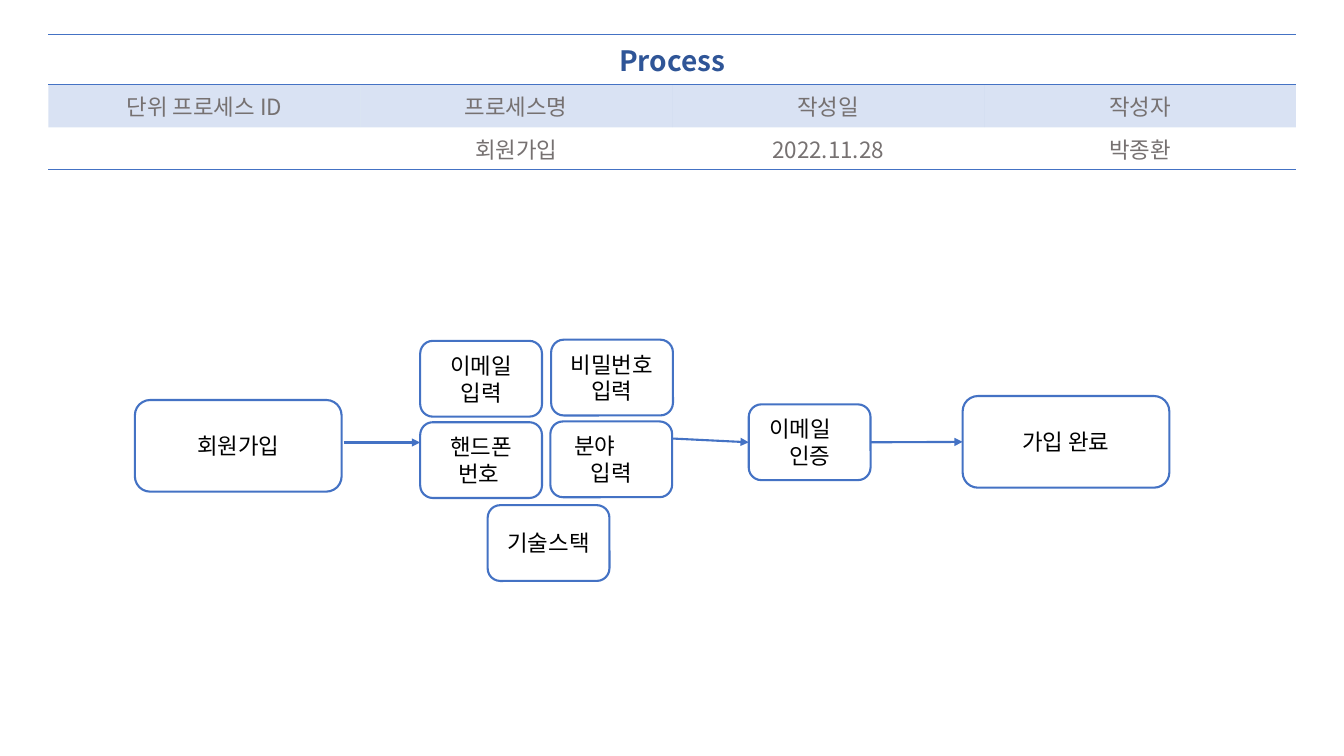
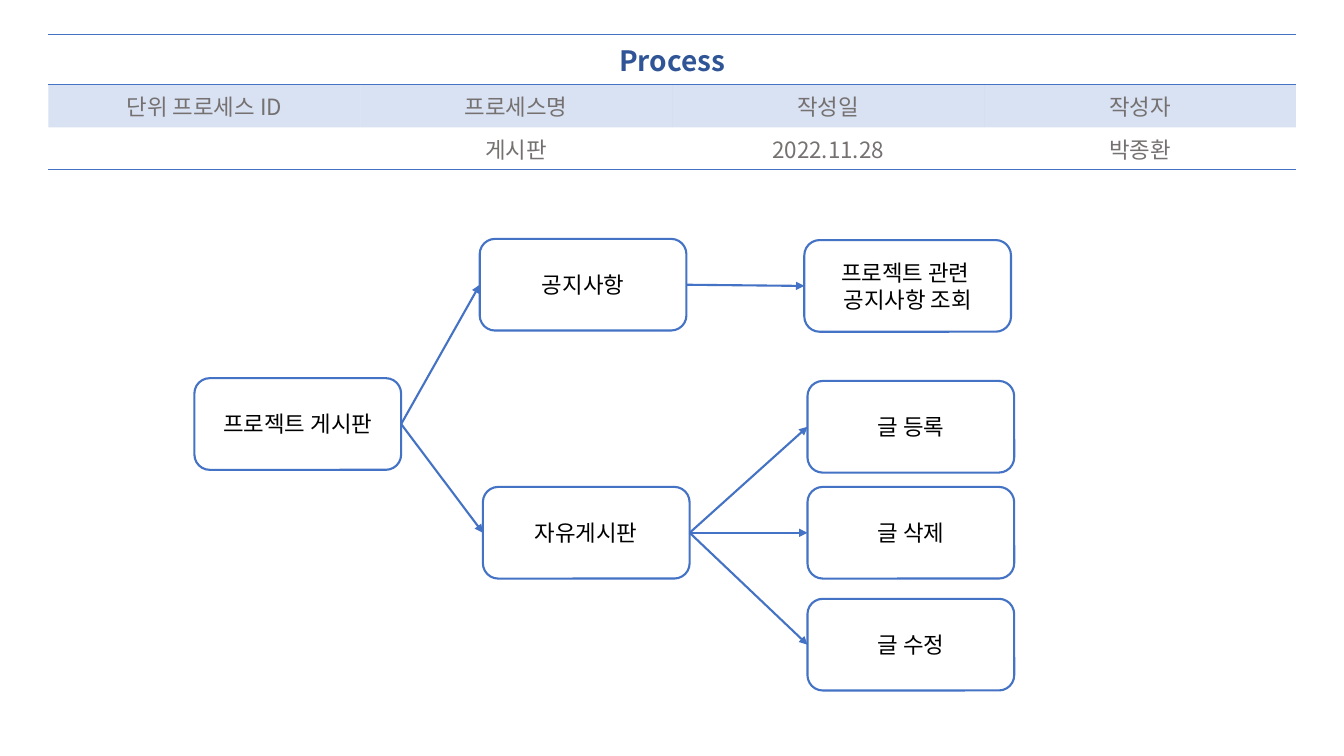
"""Build two process-flow slides that share one header table."""
from lxml.etree import SubElement
from pptx import Presentation
from pptx.dml.color import RGBColor
from pptx.enum.shapes import MSO_CONNECTOR as Connector, MSO_SHAPE as Shape
from pptx.enum.text import MSO_ANCHOR as Anchor, PP_ALIGN as Align
from pptx.oxml import parse_xml
from pptx.oxml.ns import nsdecls, qn
from pptx.util import Cm, Pt

COLORS = {"accent": "4472C4", "title": "2F5597", "muted": "767171",
          "text": "000000", "surface": "FFFFFF"}
FONT = "Noto Sans CJK KR"
FORMATS = {
    "title": {"size": Pt(20), "bold": True, "name": FONT},
    "muted": {"size": Pt(16), "bold": False, "name": FONT},
    "text": {"size": Pt(16), "bold": False, "name": FONT},
}
LARGE, SMALL = (5.21, 2.31), (3.07, 1.91)
NO_TABLE_STYLE = "{2D5ABB26-0587-4C30-8999-92F81FD0307C}"
HEADINGS = ["단위 프로세스 ID", "프로세스명", "작성일", "작성자"]
LEFT, RIGHT = 1, 3


def color(name):
    return RGBColor.from_string(COLORS[name])


class ProcessDeck:
    def __init__(self):
        self.presentation = Presentation()
        self.presentation.slide_width = Cm(33.87)
        self.presentation.slide_height = Cm(19.05)
        self.slide = None

    def add_slide(self, process_name):
        layout = self.presentation.slide_layouts[6]
        self.slide = self.presentation.slides.add_slide(layout)
        self.header(["", process_name, "2022.11.28", "박종환"])

    def put_text(self, paragraph, text, style):
        paragraph.alignment = Align.CENTER
        if not text:
            return
        run = paragraph.add_run()
        run.text = text
        for attribute, value in FORMATS[style].items():
            setattr(run.font, attribute, value)
        run.font.color.rgb = color(style)
        SubElement(run.font._element, qn("a:ea"), typeface=FONT)

    def border(self, cell, side):
        cell._tc.get_or_add_tcPr().insert(0, parse_xml(
            f'<a:{side} {nsdecls("a")} w="{Pt(1)}"><a:solidFill>'
            f'<a:srgbClr val="{COLORS["accent"]}"/></a:solidFill></a:{side}>'))

    def header(self, values):
        frame = self.slide.shapes.add_table(
            3, 4, Cm(1.22), Cm(0.86), Cm(31.44), Cm(3.11))
        table = frame.table
        table.first_row = table.horz_banding = False
        table._tbl.tblPr.find(qn("a:tableStyleId")).text = NO_TABLE_STYLE
        for row, height in zip(table.rows, (1.17, 0.97, 0.97)):
            row.height = Cm(height)
        table.cell(0, 0).merge(table.cell(0, 3))
        rows = [["Process", "", "", ""], HEADINGS, values]
        borders = [("lnB", "lnT"), (), ("lnB",)]
        for row, texts in enumerate(rows):
            for column, text in enumerate(texts):
                cell = table.cell(row, column)
                self.put_text(cell.text_frame.paragraphs[0], text,
                              "muted" if row else "title")
                if row == 1:
                    cell.fill.solid()
                    cell.fill.fore_color.rgb = color("accent")
                    tint = cell._tc.tcPr.find(".//" + qn("a:srgbClr"))
                    SubElement(tint, qn("a:alpha"), val="20000")
                else:
                    cell.fill.background()
                for side in borders[row]:
                    self.border(cell, side)

    def box(self, left, top, *lines, size=LARGE, first_indent=None):
        shape = self.slide.shapes.add_shape(
            Shape.ROUNDED_RECTANGLE, Cm(left), Cm(top), *map(Cm, size))
        shape.shadow.inherit = False
        shape.fill.solid()
        shape.fill.fore_color.rgb = color("surface")
        self.outline(shape.line)
        frame = shape.text_frame
        frame.word_wrap = True
        frame.vertical_anchor = Anchor.MIDDLE
        for index, line in enumerate(lines):
            paragraph = frame.add_paragraph() if index else frame.paragraphs[0]
            self.put_text(paragraph, line, "text")
        if first_indent is not None:
            paragraph = frame.paragraphs[0]
            paragraph.alignment = Align.LEFT
            paragraph._p.get_or_add_pPr().set("marL", str(Cm(first_indent)))
        return shape

    def outline(self, line):
        line.color.rgb = color("accent")
        line.width = Pt(1.5)

    def arrow(self, start, end):
        points = [point if isinstance(point, tuple) else (0, 0)
                  for point in (start, end)]
        connector = self.slide.shapes.add_connector(
            Connector.STRAIGHT, *map(Cm, points[0] + points[1]))
        if not isinstance(start, tuple):
            connector.begin_connect(start, RIGHT)
        if not isinstance(end, tuple):
            connector.end_connect(end, LEFT)
        self.outline(connector.line)
        SubElement(connector.get_or_add_ln(), qn("a:tailEnd"), type="triangle")
        SubElement(connector._element.spPr, qn("a:effectLst"))


def build_signup(deck):
    deck.add_slide("회원가입")
    deck.box(3.4, 10.08, "회원가입")
    deck.box(12.29, 12.73, "기술스택", size=SMALL)
    done = deck.box(24.26, 9.98, "가입 완료")
    deck.box(10.59, 10.64, "핸드폰", "번호 ", size=SMALL)
    deck.box(13.87, 10.62, "분야", "입력", size=SMALL, first_indent=0.26)
    verify = deck.box(18.87, 10.19, "이메일", "인증", size=SMALL,
                      first_indent=0.18)
    deck.box(10.59, 8.59, "이메일 입력", size=SMALL)
    deck.box(13.89, 8.56, "비밀번호", "입력", size=SMALL)
    deck.arrow((8.66, 11.15), (10.59, 11.15))
    deck.arrow((16.94, 11.05), verify)
    deck.arrow(verify, done)


def build_board(deck):
    deck.add_slide("게시판")
    board = deck.box(4.9, 9.53, "프로젝트 게시판")
    notice = deck.box(12.09, 6.02, "공지사항")
    forum = deck.box(12.17, 12.27, "자유게시판")
    notice_view = deck.box(20.27, 6.05, "프로젝트 관련 ", "공지사항 조회")
    deck.arrow(board, notice)
    deck.arrow(board, forum)
    deck.arrow(notice, notice_view)
    for top, action in ((9.6, "글 등록"), (12.27, "글 삭제"), (15.09, "글 수정")):
        deck.arrow(forum, deck.box(20.35, top, action))


def main():
    deck = ProcessDeck()
    build_signup(deck)
    build_board(deck)
    deck.presentation.save("out.pptx")


if __name__ == "__main__":
    main()
